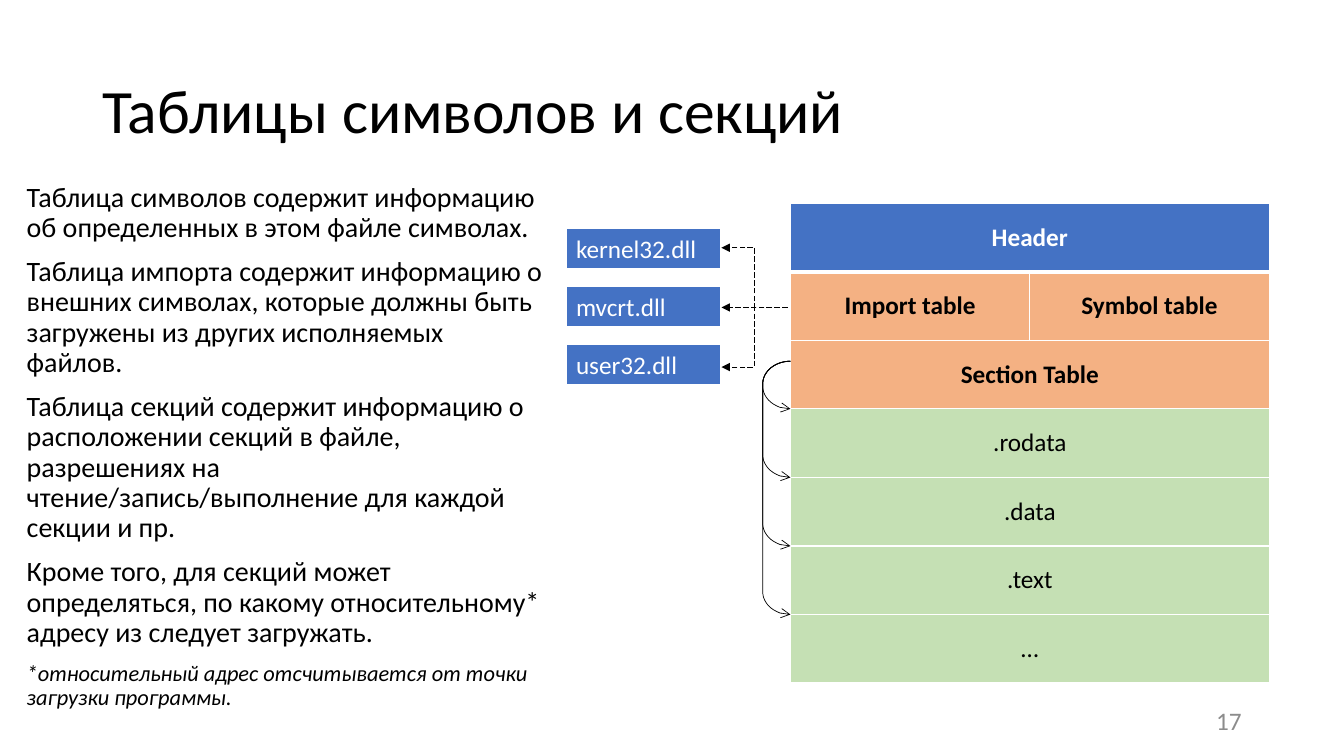
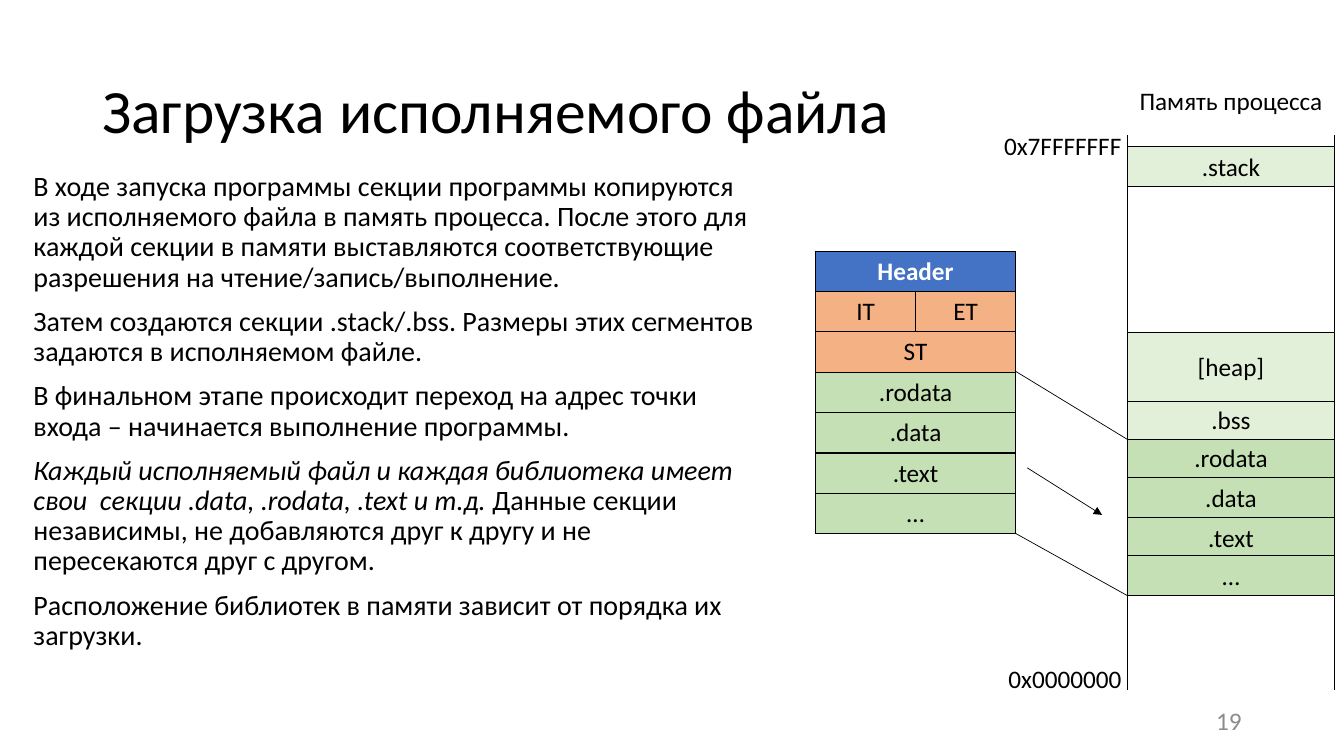
from dataclasses import dataclass

from lxml import etree
from pptx import Presentation
from pptx import util as u
from pptx.dml import color
from pptx.enum import dml, shapes, text
from pptx.oxml import ns

COLUMNS, ROWS = 160, 90
UNIT = u.Inches(1) / 12
FONT = "Calibri"
COLORS = {
    "ink": "000000",
    "paper": "FFFFFF",
    "number": "8C8C8C",
    "header": "4472C4",
    "tables": "F4B183",
    "sections": "C5E0B4",
    "runtime": "E2F0D9",
}
LEFT, CENTER, RIGHT = text.PP_ALIGN.LEFT, text.PP_ALIGN.CENTER, text.PP_ALIGN.RIGHT
TOP, MIDDLE = text.MSO_ANCHOR.TOP, text.MSO_ANCHOR.MIDDLE


@dataclass
class Box:
    x: float
    y: float
    w: float
    h: float

    def inner(self, dx, dy, w, h):
        return Box(self.x + dx, self.y + dy, w, h)

    def point(self, dx, dy):
        return self.x + dx, self.y + dy

    def emu(self):
        return [grid(side) for side in (self.x, self.y, self.w, self.h)]


def grid(count):
    return u.Emu(round(count * UNIT))


def rgb(name):
    return color.RGBColor.from_string(COLORS[name])


def add_xml(parent, tag, **attributes):
    return etree.SubElement(parent, ns.qn(tag), **attributes)


def style_font(font, size=18, ink="ink", bold=False):
    font.name, font.size, font.bold = FONT, u.Pt(size), bold
    font.color.rgb = rgb(ink)


def write(frame, words, size=18, ink="ink", align=LEFT, anchor=TOP, bold=False):
    frame.word_wrap = True
    frame.vertical_anchor = anchor
    line = frame.paragraphs[0]
    line.text, line.alignment = words, align
    style_font(line.font, size, ink, bold)
    return line


def add_label(slide, box, words, **style):
    label = slide.shapes.add_textbox(*box.emu())
    return write(label.text_frame, words, **style)


def add_block(slide, box, words, fill, outline, weight, **style):
    block = slide.shapes.add_shape(shapes.MSO_SHAPE.RECTANGLE, *box.emu())
    block.shadow.inherit = False
    block.fill.solid()
    block.fill.fore_color.rgb = rgb(fill)
    block.line.color.rgb = rgb(outline)
    block.line.width = u.Pt(weight)
    write(block.text_frame, words, **style)


def draw_line(slide, start, end, kind=shapes.MSO_CONNECTOR.STRAIGHT,
              dashed=False, arrow=False):
    ends = [grid(value) for value in (*start, *end)]
    link = slide.shapes.add_connector(kind, *ends)
    link.line.color.rgb = rgb("ink")
    link.line.width = u.Pt(0.5)
    if dashed:
        link.line.dash_style = dml.MSO_LINE.LONG_DASH
    if arrow:
        add_xml(link.line._get_or_add_ln(), "a:tailEnd", type="triangle")
    add_xml(link._element.spPr, "a:effectLst")


def add_page(deck, title, number):
    slide = deck.slides.add_slide(deck.slide_layouts[6])
    heading = add_label(slide, Box(11, 4.8, 138, 17.4), title, size=44, anchor=MIDDLE)
    heading.line_spacing = 0.9
    add_label(slide, Box(113, 83.4, 36, 4.8), number,
              ink="number", align=RIGHT, anchor=MIDDLE)
    return slide


def add_body(slide, box, paragraphs):
    frame = slide.shapes.add_textbox(*box.emu()).text_frame
    frame.word_wrap = True
    for index, (size, runs) in enumerate(paragraphs):
        line = frame.add_paragraph() if index else frame.paragraphs[0]
        line.line_spacing = 0.9
        if index:
            line.space_before = u.Pt(10)
        style_font(line.font, size)
        for words, italic in runs:
            run = line.add_run()
            run.text = words
            run.font.italic = italic


def set_borders(cell, ink, weights):
    properties = cell._tc.get_or_add_tcPr()
    for side, weight in zip("LRTB", weights):
        edge = add_xml(properties, f"a:ln{side}", w=str(u.Pt(weight)))
        add_xml(add_xml(edge, "a:solidFill"), "a:srgbClr", val=COLORS[ink])


def add_file_table(slide, box, table_names, bold_rows, border, header_rule):
    names = [["Header"], table_names[:2], table_names[2:],
             [".rodata"], [".data"], [".text"], ["…"]]
    fills = ["header"] + ["tables"] * 2 + ["sections"] * 4
    layout = slide.shapes.add_table(len(names), 2, *box.emu()).table
    layout.first_row = layout.horz_banding = False
    for row, (words, fill) in enumerate(zip(names, fills)):
        layout.rows[row].height = grid(box.h / len(names))
        for column in range(2):
            cell = layout.cell(row, column)
            set_borders(cell, border, (1, 1, header_rule if row == 1 else 1,
                                       header_rule if row == 0 else 1))
            cell.fill.solid()
            cell.fill.fore_color.rgb = rgb(fill)
        if len(words) == 1:
            layout.cell(row, 0).merge(layout.cell(row, 1))
        for column, name in enumerate(words):
            cell = layout.cell(row, column)
            write(cell.text_frame, name, ink="ink" if row else "paper",
                  align=CENTER, bold=row < bold_rows)
            cell.vertical_anchor = MIDDLE


def add_imports(slide, box):
    width, height, pitch = 18.5, 4.8, 6.9
    for index, library in enumerate(["kernel32.dll", "mvcrt.dll", "user32.dll"]):
        add_block(slide, box.inner(0, index * pitch, width, height), library,
                  "header", "paper", 1.5, ink="paper")
    middle = 9.4
    for rise in (-7.1, 7.1, 0):
        kind = shapes.MSO_CONNECTOR.ELBOW if rise else shapes.MSO_CONNECTOR.STRAIGHT
        draw_line(slide, box.point(box.w, middle), box.point(width, middle + rise),
                  kind, dashed=True, arrow=True)


def add_section_pointers(slide, box, first, step):
    for index in range(4):
        reach = box.inner(0, 0, box.w, first + index * step)
        pointer = slide.shapes.add_shape(shapes.MSO_SHAPE.LEFT_BRACKET, *reach.emu())
        pointer.adjustments[0] = 0.82
        pointer.shadow.inherit = False
        pointer.fill.background()
        pointer.line.color.rgb = rgb("ink")
        pointer.line.width = u.Pt(0.5)
        add_xml(pointer.line._get_or_add_ln(), "a:headEnd", type="arrow")


def add_memory(slide, box):
    for edge in (0, box.w):
        draw_line(slide, box.point(edge, 0), box.point(edge, box.h))
    for address, top in (("0x7FFFFFFF", -1.2), ("0x0000000", 62.3)):
        add_label(slide, box.inner(-18.2, top, 18.7, 4.8), address, align=RIGHT)
    segments = [
        (".text", 45.5, 4.8, "sections"),
        (".data", 40.7, 4.8, "sections"),
        (".rodata", 35.9, 4.8, "sections"),
        (".bss", 31.4, 4.8, "runtime"),
        ("[heap]", 23.4, 8.3, "runtime"),
        (".stack", 1.3, 4.8, "runtime"),
        ("…", 50, 4.8, "sections"),
    ]
    for name, top, height, fill in segments:
        add_block(slide, box.inner(0, top, box.w, height), name, fill, "ink", 0.25,
                  align=CENTER, anchor=MIDDLE)
    add_label(slide, box.inner(0, -6.5, box.w, 4.8), "Память процесса", align=CENTER)


def add_mapping(slide, box):
    draw_line(slide, box.point(0, 0), box.point(box.w, 8.1))
    draw_line(slide, box.point(0, 19.3), box.point(box.w, box.h))
    draw_line(slide, box.point(1.4, 11.5), box.point(10.3, 17.1), arrow=True)


def build_tables_slide(deck):
    slide = add_page(deck, "Таблицы символов и секций", "17")
    add_body(slide, Box(2, 21.2, 64, 67), [
        (20, [("Таблица символов содержит информацию об определенных в этом файле "
               "символах.", False)]),
        (20, [("Таблица импорта содержит информацию о внешних символах, которые "
               "должны быть загружены из других исполняемых файлов.", False)]),
        (20, [("Таблица секций содержит информацию о расположении секций в файле, "
               "разрешениях на чтение/запись/выполнение для каждой секции и пр.", False)]),
        (20, [("Кроме того, для секций может определяться, по какому "
               "относительному* адресу из следует загружать.", False)]),
        (16, [("*относительный адрес отсчитывается от точки загрузки программы.", True)]),
    ])
    add_imports(slide, Box(67.4, 27.2, 26.4, 18.6))
    file_box = Box(94.1, 24.2, 57, 57.12)
    add_file_table(slide, file_box, ["Import table", "Symbol table", "Section Table"],
                   3, "paper", 3)
    row = file_box.h / 7
    start = 18.8
    add_section_pointers(slide, file_box.inner(-3.3, start, 3.3, row * 6 - start),
                         row * 3 - start, row)


def build_loading_slide(deck):
    slide = add_page(deck, "Загрузка исполняемого файла", "19")
    add_body(slide, Box(2.8, 19.9, 88.2, 66.1), [
        (20, [("В ходе запуска программы секции программы копируются из исполняемого "
               "файла в память процесса. После этого для каждой секции в памяти "
               "выставляются соответствующие разрешения на "
               "чтение/запись/выполнение.", False)]),
        (20, [("Затем создаются секции .stack/.bss. Размеры этих сегментов задаются "
               "в исполняемом файле.", False)]),
        (20, [("В финальном этапе происходит переход на адрес точки входа – "
               "начинается выполнение программы.", False)]),
        (20, [("Каждый исполняемый файл и каждая библиотека имеет свои  секции "
               ".data, .rodata, .text и т.д. ", True),
              ("Данные секции независимы, не добавляются друг к другу и не "
               "пересекаются друг с другом.", False)]),
        (20, [("Расположение библиотек в памяти зависит от порядка их загрузки.", False)]),
    ])
    add_file_table(slide, Box(97.1, 29.9, 23.8, 33.6), ["IT", "ET", "ST"], 1, "ink", 1)
    add_memory(slide, Box(134.2, 16.1, 24.7, 66.1))
    add_mapping(slide, Box(120.9, 44.2, 13.3, 26.7))


def main():
    deck = Presentation()
    deck.slide_width, deck.slide_height = grid(COLUMNS), grid(ROWS)
    build_tables_slide(deck)
    build_loading_slide(deck)
    deck.save("out.pptx")


if __name__ == "__main__":
    main()
